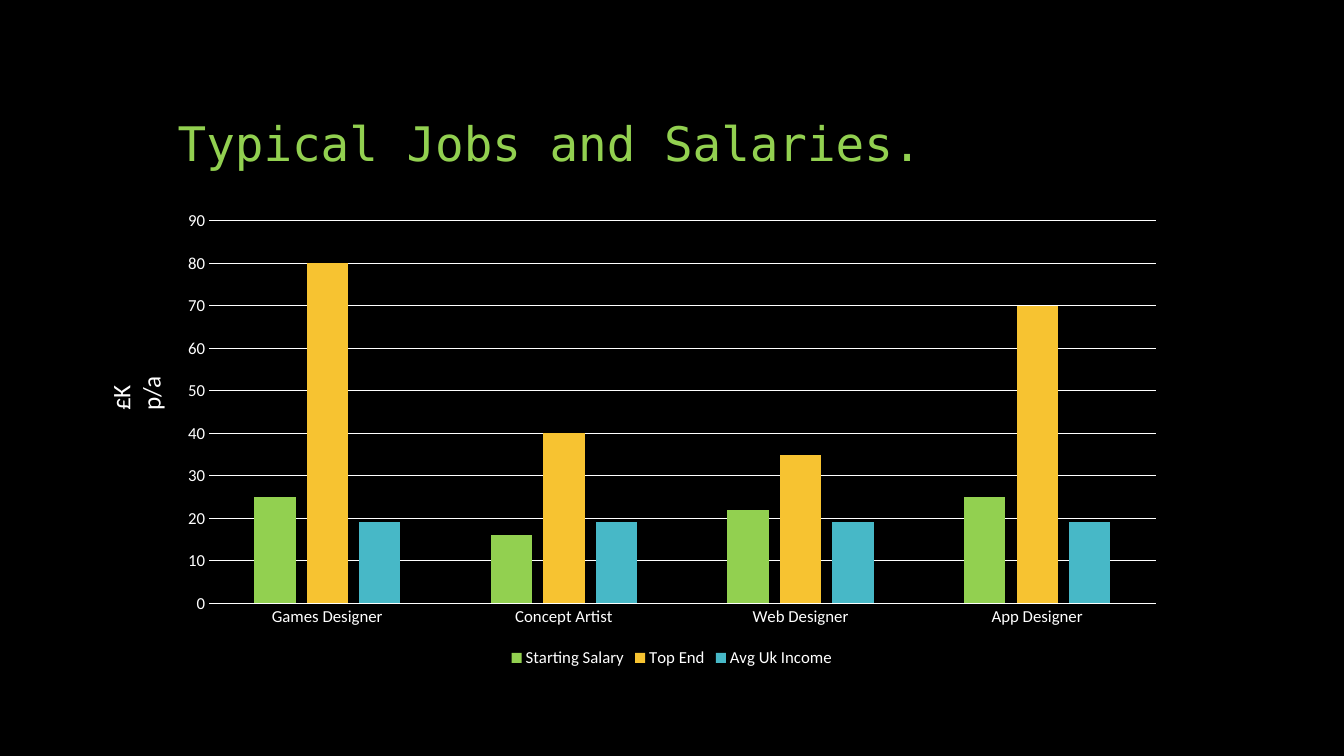
from dataclasses import dataclass

import pptx
import pptx.chart.data
import pptx.dml.color
import pptx.enum.chart
import pptx.enum.text
import pptx.util
from pptx.util import Cm

COLOURS = {
    "background": "000000",
    "text": "FFFFFF",
    "green": "92D050",
    "yellow": "F7C331",
    "teal": "47B8C7",
}
BODY_FONT = "Calibri"
JOBS = ["Games Designer", "Concept Artist", "Web Designer", "App Designer"]


@dataclass(frozen=True)
class Salary:
    name: str
    thousands: tuple[int, ...]
    colour: str


@dataclass(frozen=True)
class Label:
    text: str
    left: float
    top: float
    width: float
    height: float
    size: int
    font: str
    colour: str
    anchor: pptx.enum.text.MSO_ANCHOR
    line_spacing: float = 1.0
    rotation: int = 0


SALARIES = [
    Salary("Starting Salary", (25, 16, 22, 25), "green"),
    Salary("Top End", (80, 40, 35, 70), "yellow"),
    Salary("Avg Uk Income", (19, 19, 19, 19), "teal"),
]
LABELS = [
    Label("Typical Jobs and Salaries.", 4.23, 1.27, 25.4, 3.18, 34, "DejaVu Sans Mono",
          "green", pptx.enum.text.MSO_ANCHOR.BOTTOM, line_spacing=0.9),
    Label("£K p/a", 1.96, 9.02, 2.15, 1.02, 18, BODY_FONT,
          "text", pptx.enum.text.MSO_ANCHOR.TOP, rotation=270),
]


def rgb(colour: str) -> pptx.dml.color.RGBColor:
    return pptx.dml.color.RGBColor.from_string(COLOURS[colour])


def set_font(font, size: int, name: str, colour: str) -> None:
    font.size = pptx.util.Pt(size)
    font.name = name
    font.color.rgb = rgb(colour)


def set_line(line) -> None:
    line.color.rgb = rgb("text")
    line.width = pptx.util.Pt(0.75)


def add_label(slide, label: Label) -> None:
    box = slide.shapes.add_textbox(
        Cm(label.left), Cm(label.top), Cm(label.width), Cm(label.height))
    box.rotation = label.rotation
    frame = box.text_frame
    frame.word_wrap = True
    frame.vertical_anchor = label.anchor
    paragraph = frame.paragraphs[0]
    paragraph.text = label.text
    paragraph.line_spacing = label.line_spacing
    set_font(paragraph.font, label.size, label.font, label.colour)


def add_salary_chart(slide) -> None:
    data = pptx.chart.data.CategoryChartData()
    data.categories = JOBS
    for salary in SALARIES:
        data.add_series(salary.name, salary.thousands)
    chart = slide.shapes.add_chart(
        pptx.enum.chart.XL_CHART_TYPE.COLUMN_CLUSTERED,
        Cm(4.23), Cm(5.08), Cm(25.4), Cm(11.85), data).chart
    chart.has_title = False
    set_font(chart.font, 10, BODY_FONT, "text")

    plot = chart.plots[0]
    plot.gap_width = 219
    plot.overlap = -27
    plot.vary_by_categories = False
    for series, salary in zip(plot.series, SALARIES):
        series.format.fill.solid()
        series.format.fill.fore_color.rgb = rgb(salary.colour)
        series.invert_if_negative = False

    for axis in (chart.category_axis, chart.value_axis):
        axis.major_tick_mark = pptx.enum.chart.XL_TICK_MARK.NONE
        axis.minor_tick_mark = pptx.enum.chart.XL_TICK_MARK.NONE
        set_font(axis.tick_labels.font, 12, BODY_FONT, "text")
    set_line(chart.category_axis.format.line)
    values = chart.value_axis
    values.minimum_scale, values.maximum_scale, values.major_unit = 0, 90, 10
    values.format.line.fill.background()
    values.has_major_gridlines = True
    set_line(values.major_gridlines.format.line)

    chart.has_legend = True
    chart.legend.position = pptx.enum.chart.XL_LEGEND_POSITION.BOTTOM
    chart.legend.include_in_layout = False
    set_font(chart.legend.font, 12, BODY_FONT, "text")


def main() -> None:
    presentation = pptx.Presentation()
    presentation.slide_width = Cm(33.87)
    presentation.slide_height = Cm(19.05)
    slide = presentation.slides.add_slide(presentation.slide_layouts[6])
    slide.background.fill.solid()
    slide.background.fill.fore_color.rgb = rgb("background")
    title, unit = LABELS
    add_label(slide, title)
    add_salary_chart(slide)
    add_label(slide, unit)
    presentation.save("out.pptx")


if __name__ == "__main__":
    main()
